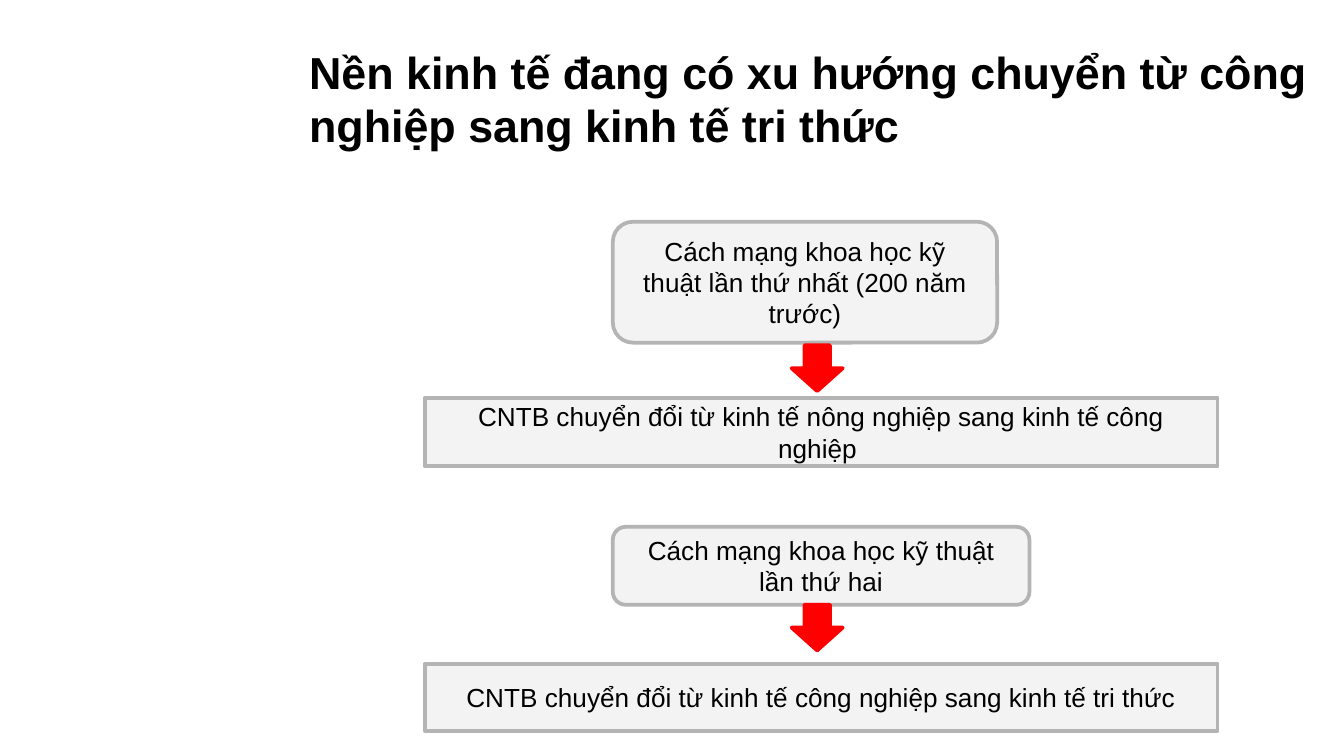
from pptx import Presentation
from pptx.dml.color import RGBColor
from pptx.enum.shapes import MSO_SHAPE
from pptx.enum.text import MSO_ANCHOR, MSO_AUTO_SIZE, PP_ALIGN
from pptx.util import Inches, Pt

ROUNDED = MSO_SHAPE.ROUNDED_RECTANGLE
RECTANGLE = MSO_SHAPE.RECTANGLE
DOWN_ARROW = MSO_SHAPE.DOWN_ARROW
MIDDLE = MSO_ANCHOR.MIDDLE
TOP = MSO_ANCHOR.TOP
NO_AUTOFIT = MSO_AUTO_SIZE.NONE
CENTER = PP_ALIGN.CENTER
LEFT = PP_ALIGN.LEFT

TITLE_ONLY = 5
FONT = "Arial"
BLACK = "000000"
PALE = "F3F3F3"
GRAY = "B4B4B4"
RED = "FF0000"

CAUSE_LEFT = 4.56
RESULT_LEFT, RESULT_WIDTH = 3.16, 5.9
ARROW_LEFT, ARROW_WIDTH, ARROW_HEIGHT = 5.89, 0.38, 0.34

REVOLUTIONS = [
    (
        ("Cách mạng khoa học kỹ thuật lần thứ nhất (200 năm trước)", 1.65, 2.86, 0.9),
        2.57,
        ("CNTB chuyển đổi từ kinh tế nông nghiệp sang kinh tế công nghiệp ", 2.96, 0.51),
    ),
    (
        ("Cách mạng khoa học kỹ thuật lần thứ hai", 3.92, 3.1, 0.58),
        4.5,
        ("CNTB chuyển đổi từ kinh tế công nghiệp sang kinh tế tri thức", 4.94, 0.5),
    ),
]


def color(value):
    return RGBColor.from_string(value)


def write(frame, text, size, align, anchor, bold=False):
    frame.word_wrap = True
    frame.vertical_anchor = anchor
    frame.text = text
    paragraph = frame.paragraphs[0]
    paragraph.alignment = align
    font = paragraph.runs[0].font
    font.name = FONT
    font.size = Pt(size)
    font.bold = bold
    font.color.rgb = color(BLACK)


def add_title(slide, text):
    title = slide.shapes.title
    title.left, title.top = Inches(2.2), Inches(0.28)
    title.width, title.height = Inches(7.83), Inches(0.91)
    title.text_frame.auto_size = NO_AUTOFIT
    write(title.text_frame, text, 24, LEFT, TOP, bold=True)


def add_block(slide, kind, left, top, width, height, fill, outline):
    block = slide.shapes.add_shape(
        kind, Inches(left), Inches(top), Inches(width), Inches(height)
    )
    block.shadow.inherit = False
    block.fill.solid()
    block.fill.fore_color.rgb = color(fill)
    block.line.color.rgb = color(outline)
    block.line.width = Pt(2)
    return block


def add_statement(slide, kind, text, left, top, width, height):
    statement = add_block(slide, kind, left, top, width, height, PALE, GRAY)
    write(statement.text_frame, text, 14, CENTER, MIDDLE)


def add_revolution(slide, cause, arrow_top, result):
    cause_text, cause_top, cause_width, cause_height = cause
    add_statement(
        slide, ROUNDED, cause_text, CAUSE_LEFT, cause_top, cause_width, cause_height
    )
    add_block(
        slide, DOWN_ARROW, ARROW_LEFT, arrow_top, ARROW_WIDTH, ARROW_HEIGHT, RED, RED
    )
    result_text, result_top, result_height = result
    add_statement(
        slide, RECTANGLE, result_text, RESULT_LEFT, result_top, RESULT_WIDTH, result_height
    )


def main():
    presentation = Presentation()
    presentation.slide_width = Inches(10)
    presentation.slide_height = Inches(10 * 9 / 16)
    slide = presentation.slides.add_slide(presentation.slide_layouts[TITLE_ONLY])
    add_title(
        slide, "Nền kinh tế đang có xu hướng chuyển từ công nghiệp sang kinh tế tri thức"
    )
    for cause, arrow_top, result in REVOLUTIONS:
        add_revolution(slide, cause, arrow_top, result)
    presentation.save("out.pptx")


if __name__ == "__main__":
    main()
